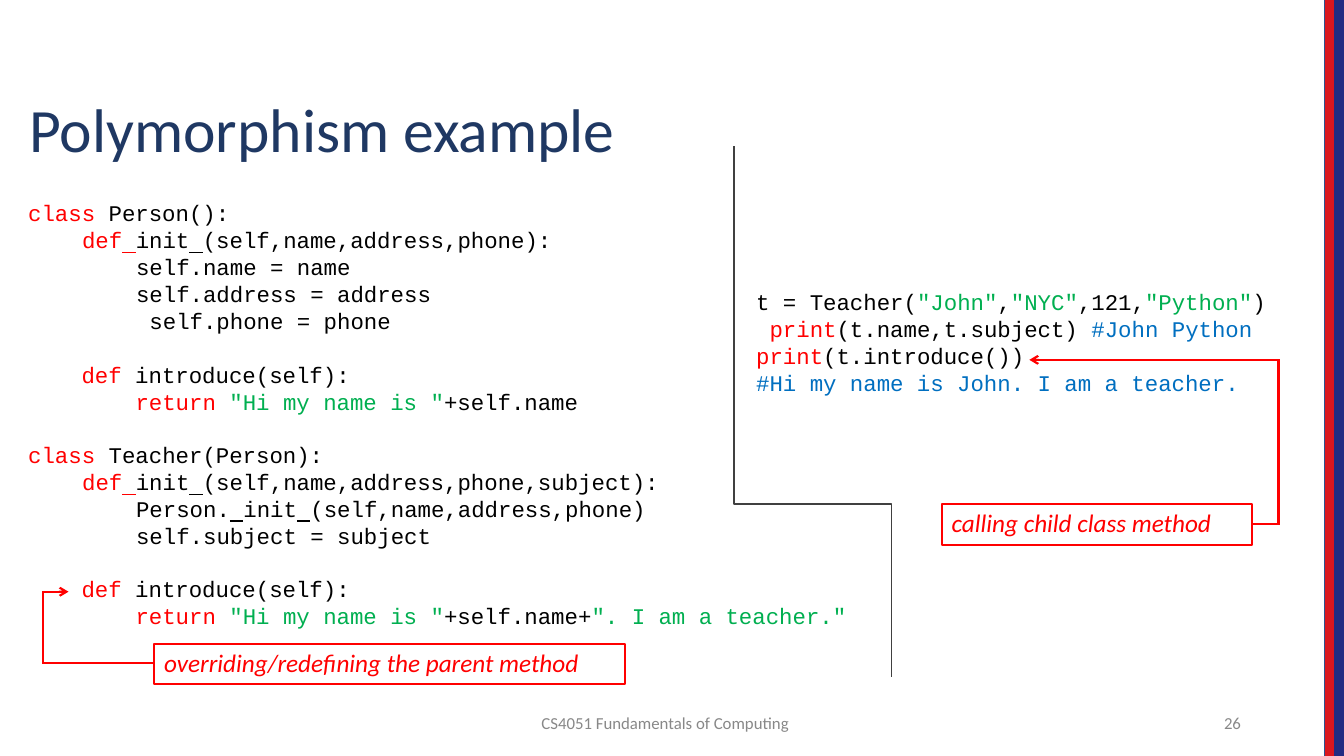
from lxml.etree import SubElement
from pptx import Presentation
from pptx.dml.color import RGBColor
from pptx.enum.shapes import MSO_CONNECTOR, MSO_SHAPE
from pptx.enum.text import MSO_ANCHOR, PP_ALIGN
from pptx.oxml.ns import qn
from pptx.util import Inches, Pt

RED, BLACK, GREEN, BLUE = "FF0000", "000000", "00AF50", "006FC0"
INKS = {"r": RED, "k": BLACK, "g": GREEN, "b": BLUE}
PITCH = 0.267
STEP = 0.535

INIT = [("r", "def"), ("ru", " "), ("k", "init"), ("ku", " ")]
INTRO = (0, [("r", "def "), ("k", "introduce(self):")])
GREET = [("r", "return "), ("g", '"Hi my name is "')]

PERSON = [
    (0, [("r", "class "), ("k", "Person():")]),
    (1, INIT + [("k", "(self,name,address,phone):")]),
    (2, [("k", "self.name = name")]),
    (2, [("k", "self.address = address")]),
    (2, [("k", " self.phone = phone")]),
]
PARENT = [INTRO, (1, GREET + [("k", "+self.name")])]
TEACHER = [
    (0, [("r", "class "), ("k", "Teacher(Person):")]),
    (1, INIT + [("k", "(self,name,address,phone,subject):")]),
    (2, [("k", "Person."), ("ku", " "), ("k", "init"), ("ku", " "),
         ("k", "(self,name,address,phone)")]),
    (2, [("k", "self.subject = subject")]),
]
CHILD = [INTRO, (1, GREET + [("k", "+self.name+"), ("g", '". I am a teacher."')])]
USAGE = [
    (0, [("k", "t = Teacher("), ("g", '"John"'), ("k", ","), ("g", '"NYC"'),
         ("k", ",121,"), ("g", '"Python"'), ("k", ")")]),
    (0, [("r", " print"), ("k", "(t.name,t.subject) "), ("b", "#John Python")]),
    (0, [("r", "print"), ("k", "(t.introduce())")]),
    (0, [("b", "#Hi my name is John. I am a teacher.")]),
]


def paint(color, hue):
    """Set a fill, line or font colour from a hex string."""
    color.rgb = RGBColor.from_string(hue)


def style(run, face, size, hue):
    """Set the font of a run."""
    run.font.name, run.font.size = face, Pt(size)
    paint(run.font.color, hue)


def setup(frame, left=0, top=0):
    """Set the margins, wrap and anchor of a text frame."""
    frame.margin_left, frame.margin_top = Inches(left), Inches(top)
    frame.margin_right = frame.margin_bottom = 0
    frame.word_wrap = True
    frame.vertical_anchor = MSO_ANCHOR.TOP


def label(frame, text, size, hue):
    """Write one line of Calibri text and return its run."""
    frame.text = text
    line = frame.paragraphs[0]
    line.alignment = PP_ALIGN.LEFT
    style(line.runs[0], "Calibri", size, hue)
    return line.runs[0]


def head(slide, box):
    """Place the slide title."""
    title = slide.shapes.title
    title.left, title.top, title.width, title.height = map(Inches, box)
    setup(title.text_frame, 0.01, 0.01)
    label(title.text_frame, "Polymorphism example", 44, "1F3863")


def code(slide, left, top, width, lines):
    """Place a block of coloured code, one paragraph a line."""
    box = slide.shapes.add_textbox(Inches(left), Inches(top), Inches(width),
                                   Inches(PITCH * len(lines) + 0.02))
    frame = box.text_frame
    setup(frame, 0.01, 0.01)
    for index, (level, parts) in enumerate(lines):
        line = frame.add_paragraph() if index else frame.paragraphs[0]
        line._p.get_or_add_pPr().set("marL", str(Inches(STEP * level)))
        line.line_spacing = Pt(PITCH * 72)
        for key, text in parts:
            run = line.add_run()
            run.text = text
            style(run, "Courier New", 16, INKS[key[0]])
            run.font.underline = "u" in key


def note(slide, box, text):
    """Place a red framed remark."""
    shape = slide.shapes.add_shape(MSO_SHAPE.RECTANGLE, *map(Inches, box))
    shape.shadow.inherit = False
    shape.fill.background()
    paint(shape.line.color, RED)
    shape.line.width = Pt(1.56)
    setup(shape.text_frame, 0.1, 0.03)
    label(shape.text_frame, text, 18, RED).font.italic = True


def route(slide, points, hue, width, arrow=False):
    """Draw an angled line through the points."""
    spots = [(Inches(x), Inches(y)) for x, y in points]
    pen = slide.shapes.build_freeform(*spots[0])
    pen.add_line_segments(spots[1:], close=False)
    shape = pen.convert_to_shape()
    shape.shadow.inherit = False
    shape.fill.background()
    paint(shape.line.color, hue)
    shape.line.width = Pt(width)
    if arrow:
        line = shape.line._get_or_add_ln()
        SubElement(line, qn("a:miter"), lim="800000")
        SubElement(line, qn("a:tailEnd"), type="arrow")


def rails(slide, left, height):
    """Draw the striped right edge."""
    edge = slide.shapes.add_connector(MSO_CONNECTOR.STRAIGHT, Inches(left), 0,
                                      Inches(left), Inches(height))
    SubElement(edge._element.spPr, qn("a:effectLst"))
    paint(edge.line.color, "2E528F")
    edge.line.width = Pt(0.75)
    for index, hue in enumerate(("DA171F", "222C82")):
        bar = slide.shapes.add_shape(
            MSO_SHAPE.RECTANGLE, Inches(left + 0.01 + 0.09 * index), 0,
            Inches(0.09), Inches(height))
        bar.shadow.inherit = False
        bar.fill.solid()
        paint(bar.fill.fore_color, hue)
        paint(bar.line.color, hue)
        bar.line.width = Pt(0.96)


def foot(slide, box, text):
    """Place a small grey footer text."""
    shape = slide.shapes.add_textbox(*map(Inches, box))
    setup(shape.text_frame, 0.01)
    label(shape.text_frame, text, 12, "888888")


def main():
    """Build the slide and save it."""
    deck = Presentation()
    deck.slide_width, deck.slide_height = Inches(13.33), Inches(7.5)
    slide = deck.slides.add_slide(deck.slide_layouts[5])
    rails(slide, 13.14, 7.5)
    head(slide, (0.28, 0.89, 6.26, 0.76))
    code(slide, 0.27, 1.97, 5.64, PERSON)
    code(slide, 0.8, 3.57, 4.97, PARENT)
    code(slide, 0.27, 4.37, 6.71, TEACHER)
    code(slide, 0.8, 5.7, 7.64, CHILD)
    note(slide, (1.53, 6.39, 4.67, 0.4), "overriding/redefining the parent method")
    route(slide, [(1.53, 6.58), (0.43, 6.58), (0.43, 5.87), (0.68, 5.87)],
          RED, 1.56, True)
    code(slide, 7.49, 2.85, 5.3, USAGE)
    route(slide, [(7.28, 1.45), (7.28, 5), (8.84, 5), (8.84, 6.72)], "404040", 0.96)
    note(slide, (9.34, 5, 3.08, 0.41), "calling child class method")
    route(slide, [(12.42, 5.2), (12.68, 5.2), (12.68, 3.57), (10.21, 3.57)],
          RED, 1.56, True)
    foot(slide, (5.36, 7.07, 2.6, 0.19), "CS4051 Fundamentals of Computing")
    foot(slide, (12.13, 7.07, 0.25, 0.19), "26")
    deck.save("out.pptx")


if __name__ == "__main__":
    main()
